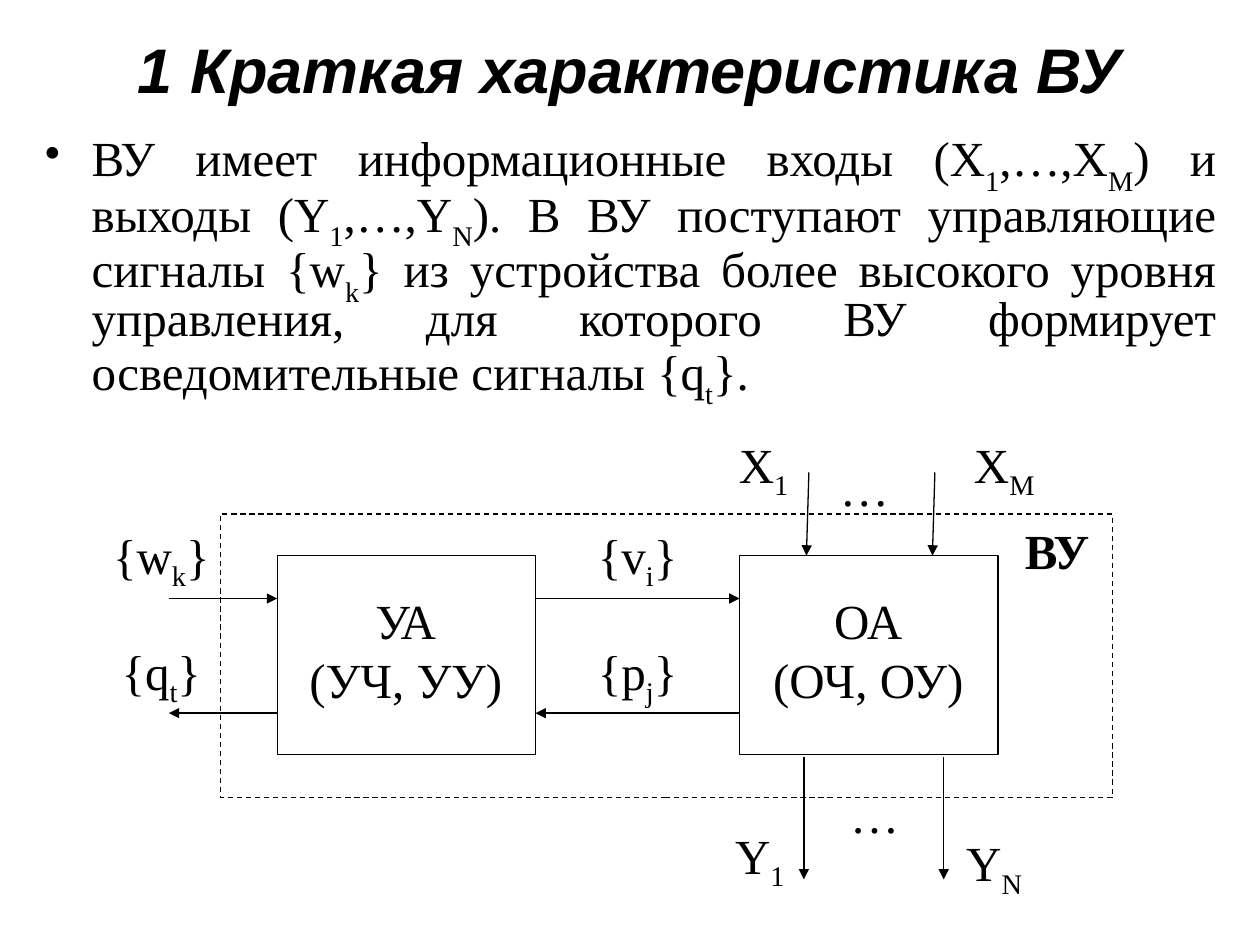
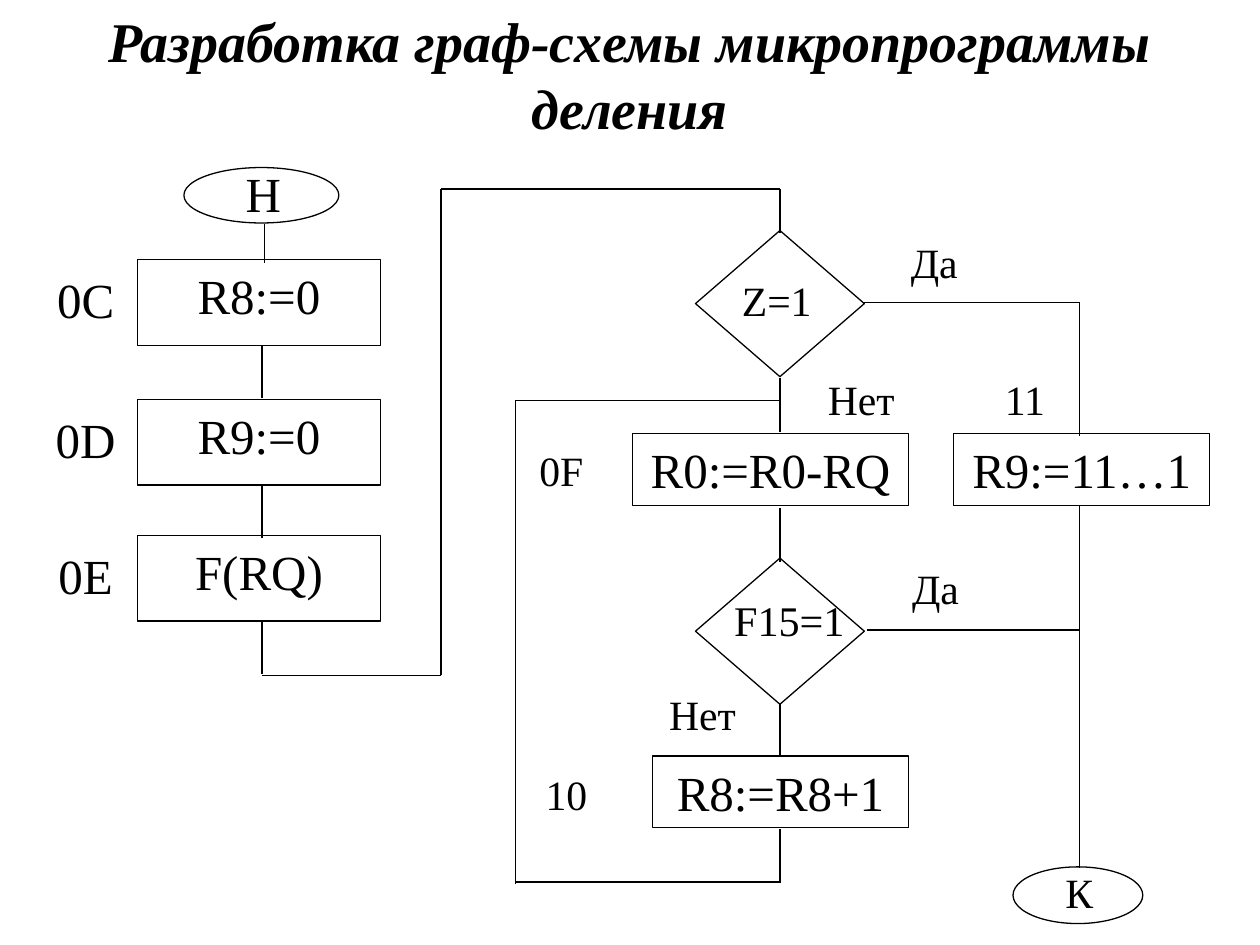
from pptx import Presentation
from pptx.dml.color import RGBColor
from pptx.enum.dml import MSO_LINE
from pptx.enum.shapes import MSO_CONNECTOR, MSO_SHAPE
from pptx.enum.text import MSO_ANCHOR, PP_ALIGN
from pptx.oxml.ns import qn
from pptx.util import Inches, Pt
from lxml.etree import SubElement

HUES = {"ink": "000000", "page": "FFFFFF"}
SERIF, SANS = "Times New Roman", "Arial"
BIG, SMALL, THIN = 28, 23.8, 0.74


def hue(name):
    """Return a colour of the palette."""
    return RGBColor.from_string(HUES[name])


def fill_text(frame, text, size=BIG, font=SERIF, bold=False, slant=False,
              align=PP_ALIGN.CENTER, anchor=MSO_ANCHOR.TOP, drop=-25):
    """Write text into a frame; an underscore lowers the next letter."""
    frame.word_wrap = True
    frame.vertical_anchor = anchor
    for num, line in enumerate(text.split("\n")):
        para = frame.add_paragraph() if num else frame.paragraphs[0]
        para.alignment = align
        head, *rest = line.split("_")
        parts = [(head, 0)]
        for part in rest:
            parts += [(part[0], drop), (part[1:], 0)]
        for word, base in parts:
            if not word:
                continue
            run = para.add_run()
            run.text = word
            run.font.name, run.font.size = font, Pt(size)
            run.font.bold, run.font.italic = bold, slant
            run.font.color.rgb = hue("ink")
            if base:
                run.font._element.set("baseline", str(base * 1000))


class Deck:
    """Hold the style and the current slide."""

    def __init__(self):
        """Start a 10 by 7.5 inch deck."""
        self.file = Presentation()
        self.file.slide_width, self.file.slide_height = Inches(10), Inches(7.5)

    def page(self):
        """Add a blank slide."""
        self.slide = self.file.slides.add_slide(self.file.slide_layouts[6])
        back = self.slide.background.fill
        back.solid()
        back.fore_color.rgb = hue("page")

    def text(self, text, left, top, width, height, **style):
        """Add a text box."""
        box = self.slide.shapes.add_textbox(*map(Inches, (left, top, width, height)))
        fill_text(box.text_frame, text, **style)
        return box.text_frame

    def title(self, text, top, height, **style):
        """Add the bold slanted heading."""
        return self.text(text, 0.75, top, 8.5, height, bold=True, slant=True, **style)

    def bullet(self, text, left, top, width, height):
        """Add a justified paragraph with a bullet."""
        frame = self.text(text, left, top, width, height,
                          align=PP_ALIGN.JUSTIFY, drop=-30)
        para = frame.paragraphs[0]
        para.line_spacing, para.space_before = 0.8, Pt(7)
        props = para._p.get_or_add_pPr()
        props.set("marL", str(Inches(0.38)))
        props.set("indent", str(Inches(-0.38)))
        SubElement(props, qn("a:buFont"), typeface=SERIF)
        SubElement(props, qn("a:buChar"), char="•")

    def shape(self, kind, left, top, width, height, text="", dash=False):
        """Add an unfilled outline with optional text."""
        item = self.slide.shapes.add_shape(kind, *map(Inches, (left, top, width, height)))
        item.shadow.inherit = False
        item.fill.background()
        item.line.color.rgb, item.line.width = hue("ink"), Pt(THIN)
        if dash:
            item.line.dash_style = MSO_LINE.DASH
        if text:
            fill_text(item.text_frame, text)

    def box(self, *place, **style):
        """Add a rectangle."""
        self.shape(MSO_SHAPE.RECTANGLE, *place, **style)

    def line(self, *ends, arrow=False):
        """Add a straight line, with an arrowhead if asked."""
        item = self.slide.shapes.add_connector(MSO_CONNECTOR.STRAIGHT, *map(Inches, ends))
        item.line.color.rgb, item.line.width = hue("ink"), Pt(THIN)
        if arrow:
            SubElement(item.line._get_or_add_ln(), qn("a:tailEnd"), type="triangle")
        SubElement(item._element.spPr, qn("a:effectLst"))

    def label(self, text, left, top, **style):
        """Add a signal name."""
        self.text(text, left, top, 1.28, 0.69, **style)

    def note(self, text, left, top, size=SMALL):
        """Add a small mark on the flow chart."""
        self.text(text, left, top, 1.37, 0.5, size=size)


def draw_device(deck):
    """Draw the computing device and its signals."""
    deck.page()
    head = deck.title("1 Краткая характеристика ВУ", 0.08, 1.42, size=36, font=SANS)
    head.margin_top = Inches(0.16)
    deck.bullet("ВУ имеет информационные входы (X_1,…,X_M) и выходы (Y_1,…,Y_N). "
                "В ВУ поступают управляющие сигналы {w_k} из устройства более "
                "высокого уровня управления, для которого ВУ формирует "
                "осведомительные сигналы {q_t}.", 0.25, 1, 9.5, 2.42)

    for left, name in ((2.2, "УА\n(УЧ, УУ)"), (5.87, "ОА\n(ОЧ, ОУ)")):
        deck.box(left, 4.41, 2.05, 1.58)
        deck.text(name, left - 0.09, 4.64, 2.22, 1.08)

    # Signals into and out of the control part, then between the two parts
    for start, end, left, upper, lower in ((1.34, 2.2, 0.64, "{w_k}", "{q_t}"),
                                           (4.25, 5.87, 4.42, "{v_i}", "{p_j}")):
        deck.line(start, 4.75, end, 4.75, arrow=True)
        deck.line(end, 5.66, start, 5.66, arrow=True)
        deck.label(upper, left, 4.12)
        deck.label(lower, left, 5.04)

    for x in (6.4, 7.4):
        deck.line(x + 0.02, 3.75, x, 4.41, arrow=True)
    for x in (6.38, 7.49):
        deck.line(x, 6.01, x, 6.98, arrow=True)
    for name, left, top in (("X_1", 5.42, 3.4), ("…", 6.22, 3.58), ("X_M", 7.33, 3.4),
                            ("Y_1", 5.39, 6.5), ("…", 6.3, 6.18), ("Y_N", 7.25, 6.56)):
        deck.label(name, left, top)

    deck.box(1.75, 4.08, 7.08, 2.25, dash=True)
    deck.label("ВУ", 7.75, 4.08, bold=True)


def draw_flow(deck):
    """Draw the flow chart of the division microprogram."""
    deck.page()
    deck.title("Разработка граф-схемы микропрограммы деления", 0.25, 0.67,
               size=32, anchor=MSO_ANCHOR.MIDDLE)
    left, mid, right, loop, turn = 2.08, 6.19, 8.57, 4.09, 3.5

    # Start and the first three steps
    deck.shape(MSO_SHAPE.OVAL, 1.46, 1.33, 1.23, 0.44)
    deck.text("Н", 1.27, 1.25, 1.64, 0.6)
    deck.line(2.1, 1.78, 2.1, 2.09)
    steps = (("R8:=0", "0С", 2.06), ("R9:=0", "0D", 3.17), ("F(RQ)", "0E", 4.25))
    for text, code, top in steps:
        deck.box(1.09, top, 1.93, 0.68, text=text)
        deck.text(code, -0.14, top + 0.03, 1.64, 0.6)
        deck.line(left, top + 0.68, left, top + 1.1)

    # Tests and later steps
    for text, x, y, top, size in (("Z=1", 5.48, 2.13, 1.83, SMALL),
                                  ("F15=1", 5.58, 4.67, 4.43, 24.1)):
        deck.shape(MSO_SHAPE.DIAMOND, 5.52, top, 1.34, 1.16)
        deck.note(text, x, y, size=size)
    for text, x, y, width in (("R0:=R0-RQ", 5.02, 3.44, 2.19),
                              ("R8:=R8+1", 5.18, 6, 2.03),
                              ("R9:=11…1", 7.57, 3.44, 2.03)):
        deck.box(x, y, width, 0.57, text=text)

    # Links down the middle, then the other paths
    for top in (3, 4.03, 5.58, 6.58):
        deck.line(mid, top, mid, top + 0.43)
    for ends in ((left, 5.36, turn, 5.36), (turn, 1.5, turn, 5.36),
                 (turn, 1.5, mid, 1.5), (mid, 1.5, mid, 1.85),
                 (loop, 3.18, loop, 7.02), (loop, 3.18, mid, 3.18),
                 (loop, 7, mid, 7), (6.86, 2.4, right, 2.4),
                 (right, 2.4, right, 3.46), (6.88, 5, right, 5),
                 (right, 4.02, right, 6.89)):
        deck.line(*ends)

    deck.shape(MSO_SHAPE.OVAL, 8.04, 6.88, 1.03, 0.45)
    for text, x, y in (("Да", 6.73, 1.83), ("Нет", 6.15, 2.92),
                       ("Да", 6.74, 4.42), ("Нет", 4.89, 5.42),
                       ("0F", 3.77, 3.48), ("11", 7.45, 2.92),
                       ("10", 3.81, 6.05), ("К", 7.88, 6.83)):
        deck.note(text, x, y)


deck = Deck()
draw_device(deck)
draw_flow(deck)
deck.file.save("out.pptx")
